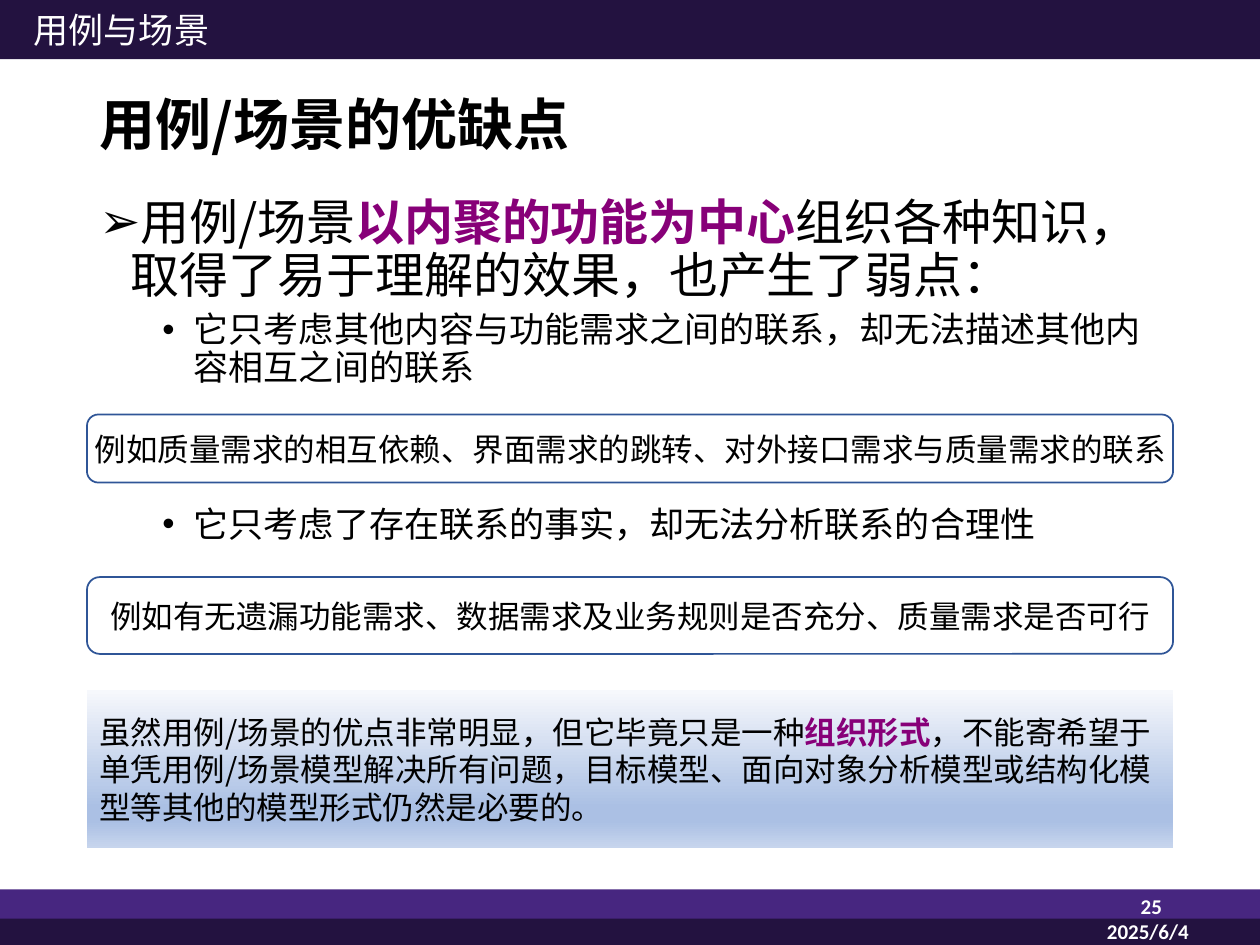
from lxml import etree
from pptx import Presentation
from pptx.dml.color import RGBColor
from pptx.enum.shapes import MSO_SHAPE
from pptx.enum.text import MSO_ANCHOR, PP_ALIGN
from pptx.oxml.ns import qn
from pptx.util import Inches, Pt

RECT, ROUND = MSO_SHAPE.RECTANGLE, MSO_SHAPE.ROUNDED_RECTANGLE
TOP, MIDDLE = MSO_ANCHOR.TOP, MSO_ANCHOR.MIDDLE
LEFT, CENTER, RIGHT = PP_ALIGN.LEFT, PP_ALIGN.CENTER, PP_ALIGN.RIGHT
CJK, LATIN = "Noto Sans CJK SC", "Calibri"
COLORS = {"dark": "231240", "purple": "472680", "accent": "870078",
          "border": "2F5597", "black": "000000", "white": "FFFFFF"}
GRADIENT = [(0, "F6F8FC"), (74, "ABC0E4"), (83, "ABC0E4"), (100, "C7D5ED")]
MARGIN, WIDTH = 0.69, 8.62


def rgb(name):
    return RGBColor.from_string(COLORS[name])


def add_bullet(p, char, left, hanging):
    pPr = p._p.get_or_add_pPr()
    pPr.set("marL", str(Inches(left)))
    pPr.set("indent", str(-Inches(hanging)))
    etree.SubElement(pPr, qn("a:buFont")).set("typeface", "Arial")
    etree.SubElement(pPr, qn("a:buChar")).set("char", char)


def write(p, text, size=18, font=CJK, color="black", bold=False,
          align=LEFT, spacing=None, before=None):
    """Fill a paragraph; parts between asterisks become bold accent text."""
    p.alignment = align
    if spacing:
        p.line_spacing = spacing
    if before:
        p.space_before = Pt(before)
    for i, part in enumerate(text.split("*")):
        strong = i % 2 == 1
        r = p.add_run()
        r.text = part
        r.font.size = Pt(size)
        r.font.name = font
        r.font.bold = bold or strong
        r.font.color.rgb = rgb("accent" if strong else color)
        ea = etree.Element(qn("a:ea"), typeface=font)
        r.font._element.find(qn("a:latin")).addnext(ea)


def add_text(slide, x, y, w, h, text=None, anchor=TOP, wrap=True, **fmt):
    sp = slide.shapes.add_textbox(Inches(x), Inches(y), Inches(w), Inches(h))
    tf = sp.text_frame
    tf.word_wrap = wrap
    tf.vertical_anchor = anchor
    if text:
        write(tf.paragraphs[0], text, **fmt)
    return tf


def add_box(slide, kind, x, y, w, h, fill=None, line=None):
    sp = slide.shapes.add_shape(kind, Inches(x), Inches(y), Inches(w), Inches(h))
    sp.shadow.inherit = False
    if fill:
        sp.fill.solid()
        sp.fill.fore_color.rgb = rgb(fill)
    else:
        sp.fill.background()
    if line:
        sp.line.color.rgb = rgb(line)
        sp.line.width = Pt(1)
    else:
        sp.line.fill.background()
    sp.text_frame.word_wrap = True
    sp.text_frame.vertical_anchor = MIDDLE
    return sp


def fill_gradient(sp, stops):
    sp.fill.gradient()
    sp.fill.gradient_angle = 270
    gs_list = sp._element.spPr.find(".//" + qn("a:gsLst"))
    for gs in list(gs_list):
        gs_list.remove(gs)
    for pos, color in stops:
        gs = etree.SubElement(gs_list, qn("a:gs"), pos=str(pos * 1000))
        etree.SubElement(gs, qn("a:srgbClr"), val=color)


def add_example(slide, y, h, text):
    sp = add_box(slide, ROUND, MARGIN, y, WIDTH, h, line="border")
    tf = sp.text_frame
    tf.margin_left = tf.margin_right = 0
    write(tf.paragraphs[0], text, align=CENTER)


def add_frame(slide):
    """Header and footer bands with section name, page number and date."""
    for y, h, color in [(7.06, 0.24, "purple"), (7.29, 0.21, "dark"),
                        (0, 0.47, "dark")]:
        add_box(slide, RECT, 0, y, 10, h, fill=color)
    footer = {"size": 12, "font": LATIN, "color": "white", "bold": True}
    add_text(slide, 8.67, 7.04, 0.65, 0.6, "25", align=RIGHT, **footer)
    add_text(slide, 8.54, 7.24, 1.14, 0.4, "2025/6/4", align=CENTER, **footer)
    add_text(slide, 0.17, 0.02, 1.59, 0.44, "用例与场景", wrap=False,
             size=20, color="white")


def add_body(slide):
    tf = add_text(slide, MARGIN, 1.52, WIDTH, 5.21)
    items = [
        ("➢", 0.25, 28, None,
         "用例/场景*以内聚的功能为中心*组织各种知识，取得了易于理解的效果，也产生了弱点："),
        ("•", 0.75, 20, 5,
         "它只考虑其他内容与功能需求之间的联系，却无法描述其他内容相互之间的联系"),
        ("•", 0.75, 20, 68, "它只考虑了存在联系的事实，却无法分析联系的合理性"),
    ]
    for i, (char, left, size, before, text) in enumerate(items):
        p = tf.add_paragraph() if i else tf.paragraphs[0]
        add_bullet(p, char, left, 0.25)
        write(p, text, size=size, spacing=0.9, before=before)


def add_conclusion(slide):
    sp = add_box(slide, RECT, MARGIN, 5.48, WIDTH, 1.25)
    fill_gradient(sp, GRADIENT)
    write(sp.text_frame.paragraphs[0],
          "虽然用例/场景的优点非常明显，但它毕竟只是一种*组织形式*，不能寄希望于单凭"
          "用例/场景模型解决所有问题，目标模型、面向对象分析模型或结构化模型等其他的"
          "模型形式仍然是必要的。")


def main():
    prs = Presentation()
    prs.slide_width, prs.slide_height = Inches(10), Inches(7.5)
    slide = prs.slides.add_slide(prs.slide_layouts[6])
    add_frame(slide)
    add_text(slide, MARGIN, 0.65, WIDTH, 0.72, "用例/场景的优缺点",
             anchor=MIDDLE, size=32, bold=True, spacing=0.9)
    add_body(slide)
    add_conclusion(slide)
    add_example(slide, 4.58, 0.61,
                "例如有无遗漏功能需求、数据需求及业务规则是否充分、质量需求是否可行")
    add_example(slide, 3.29, 0.54,
                "例如质量需求的相互依赖、界面需求的跳转、对外接口需求与质量需求的联系")
    prs.save("out.pptx")


if __name__ == "__main__":
    main()
